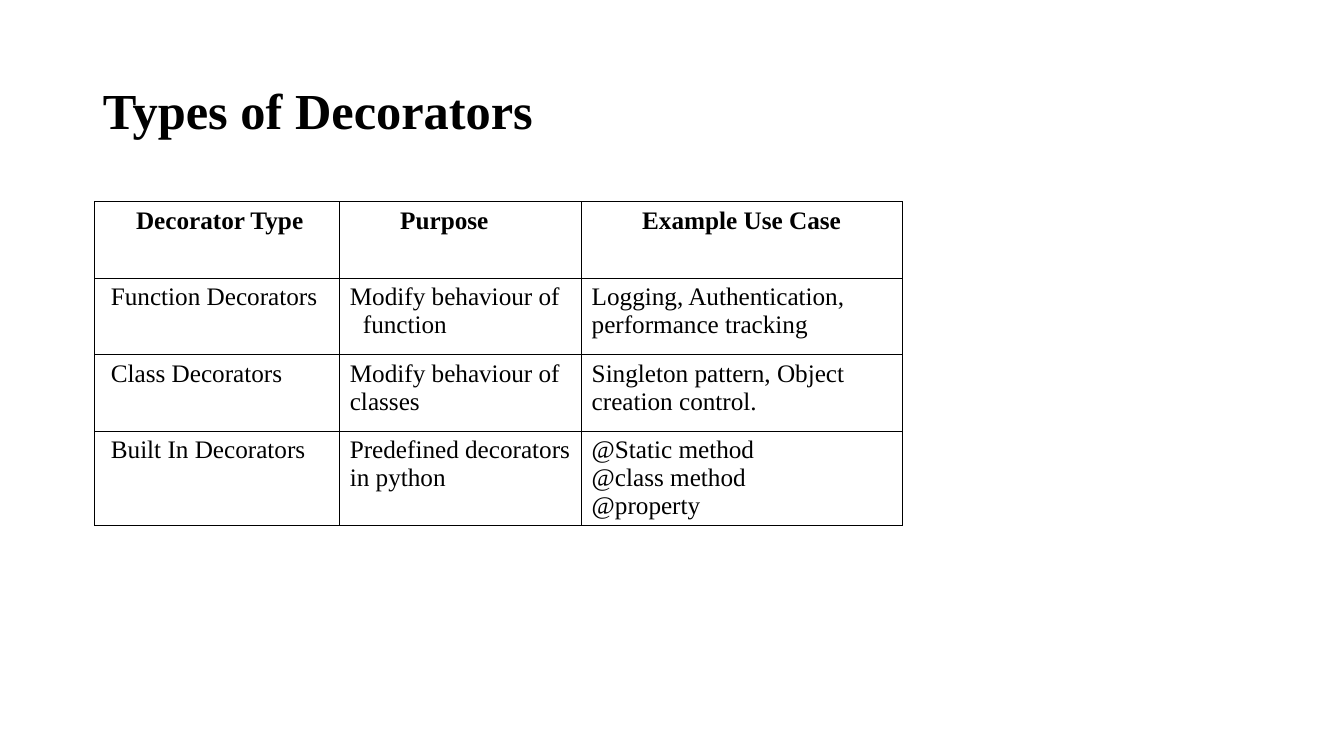
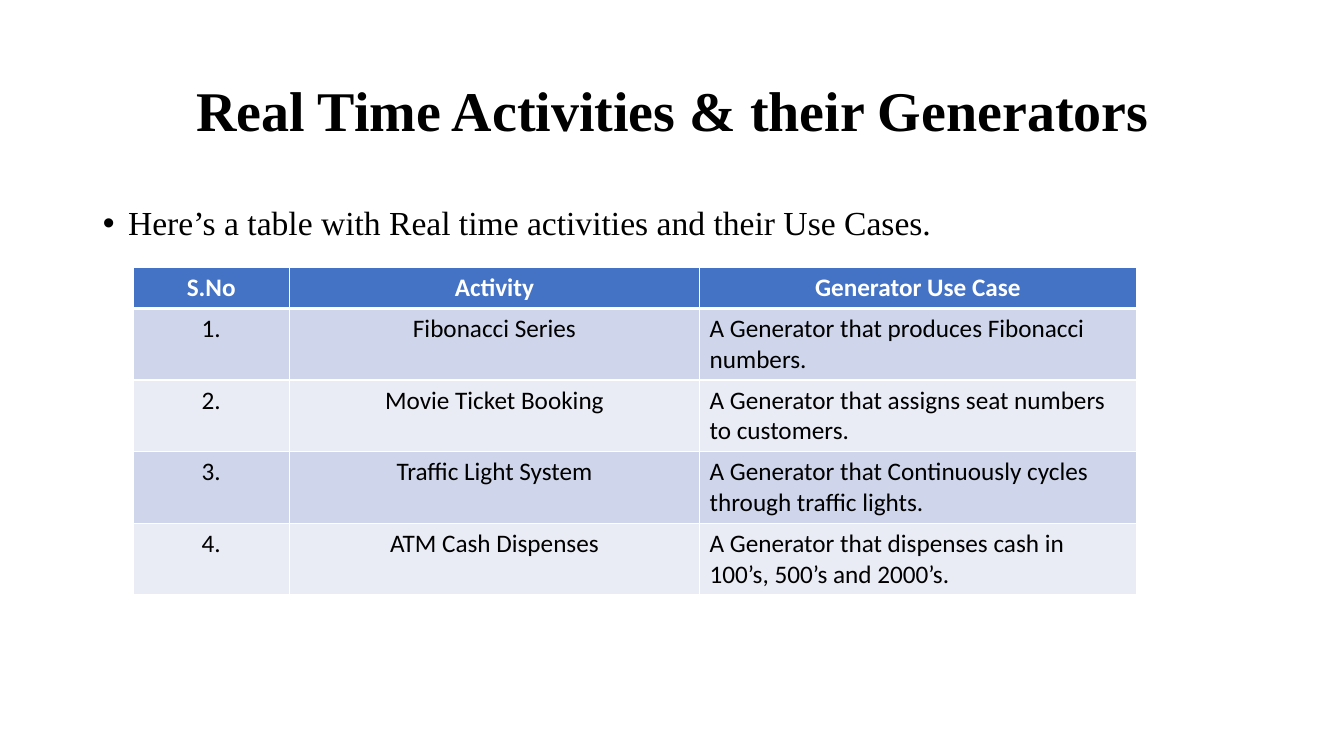
from dataclasses import dataclass

from lxml.etree import SubElement
from pptx import Presentation
from pptx.dml.color import RGBColor
from pptx.enum.text import MSO_ANCHOR as Anchor, MSO_AUTO_SIZE as AutoSize, PP_ALIGN as Align
from pptx.oxml.ns import qn
from pptx.util import Inches, Pt

SLIDE_WIDTH, SLIDE_HEIGHT = Inches(13.33), Inches(7.5)
BLACK = RGBColor(0x00, 0x00, 0x00)
WHITE = RGBColor(0xFF, 0xFF, 0xFF)
HEADER_BLUE = RGBColor(0x44, 0x72, 0xC4)
BAND_DARK = RGBColor(0xCF, 0xD5, 0xEA)
BAND_LIGHT = RGBColor(0xE9, 0xEB, 0xF5)
SERIF, SANS = "Times New Roman", "Calibri"
TITLE_ONLY, TITLE_AND_BODY = 5, 1
MARGIN, CONTENT_WIDTH = 6.9, 86.27
CONTENT_TOP = 26.67

DECORATORS = [
    ["Decorator Type", "Purpose", "Example Use Case"],
    ["Function Decorators", "Modify behaviour of function",
     "Logging, Authentication, performance tracking"],
    ["Class Decorators", "Modify behaviour of classes",
     "Singleton pattern, Object creation control."],
    ["Built In Decorators", "Predefined decorators in python",
     "@Static method\n@class method\n@property"],
]
GENERATORS = [
    ["S.No", "Activity", "Generator Use Case"],
    ["1.", "Fibonacci Series", "A Generator that produces Fibonacci numbers."],
    ["2.", "Movie Ticket Booking", "A Generator that assigns seat numbers to customers."],
    ["3.", "Traffic Light System", "A Generator that Continuously cycles through traffic lights."],
    ["4.", "ATM Cash Dispenses", "A Generator that dispenses cash in 100’s, 500’s and 2000’s."],
]


@dataclass
class TableLook:
    """Style of a table; one alignment and left margin per column."""
    font: str
    border: RGBColor
    header_color: RGBColor
    header_fill: RGBColor | None
    bands: tuple
    header_rule: float
    header_align: Align
    body_aligns: tuple
    header_margins: tuple
    body_margins: tuple


PLAIN = TableLook(SERIF, BLACK, BLACK, None, (None,), 1, Align.LEFT,
                  (Align.LEFT,) * 3, (0.41, 0.6, 0.6), (0.16, 0.1, 0.1))
BANDED = TableLook(SANS, WHITE, WHITE, HEADER_BLUE, (BAND_DARK, BAND_LIGHT), 3, Align.CENTER,
                   (Align.CENTER, Align.CENTER, Align.LEFT), (0.1,) * 3, (0.1,) * 3)


def across(percent):
    """Return a share of the slide width."""
    return round(SLIDE_WIDTH * percent / 100)


def down(percent):
    """Return a share of the slide height."""
    return round(SLIDE_HEIGHT * percent / 100)


def place(shape, top, height):
    """Set a placeholder on the content column."""
    shape.left, shape.width = across(MARGIN), across(CONTENT_WIDTH)
    shape.top, shape.height = down(top), down(height)


def style_font(paragraph, name, size, color, bold=False):
    """Format every run of a paragraph."""
    for run in paragraph.runs:
        font = run.font
        font.name, font.size, font.bold = name, Pt(size), bold
        font.color.rgb = color


def hang(paragraph, inches):
    """Give a paragraph a hanging indent."""
    properties = paragraph._p.get_or_add_pPr()
    properties.set("marL", str(Inches(inches)))
    properties.set("indent", str(-Inches(inches)))
    return properties


def add_slide(presentation, layout, title, size, align):
    """Add a slide with its formatted title."""
    slide = presentation.slides.add_slide(presentation.slide_layouts[layout])
    shape = slide.shapes.title
    place(shape, 5.33, 19.33)
    text_frame = shape.text_frame
    text_frame.text = title
    text_frame.auto_size = AutoSize.NONE
    text_frame.vertical_anchor = Anchor.MIDDLE
    paragraph = text_frame.paragraphs[0]
    paragraph.alignment, paragraph.line_spacing = align, 0.9
    style_font(paragraph, SERIF, size, BLACK, True)
    return slide


def fill_body(slide, text):
    """Write one bullet into the body placeholder."""
    shape = slide.placeholders[1]
    place(shape, CONTENT_TOP, 63.47)
    text_frame = shape.text_frame
    text_frame.text = text
    text_frame.auto_size = AutoSize.NONE
    paragraph = text_frame.paragraphs[0]
    properties = hang(paragraph, 0.25)
    SubElement(properties, qn("a:buFont"), typeface="Arial")
    SubElement(properties, qn("a:buChar"), char="•")
    paragraph.line_spacing, paragraph.space_before = 0.9, Pt(0)
    style_font(paragraph, SERIF, 24, BLACK)


def set_borders(cell, color, top, bottom):
    """Draw the four borders of a cell."""
    properties = cell._tc.get_or_add_tcPr()
    for side, width in (("L", 1), ("R", 1), ("T", top), ("B", bottom)):
        line = SubElement(properties, qn(f"a:ln{side}"), w=str(Pt(width)))
        fill = SubElement(line, qn("a:solidFill"))
        SubElement(fill, qn("a:srgbClr"), val=str(color))


def style_cell(cell, row, column, look):
    """Format a cell by its row and column."""
    header = row == 0
    set_borders(cell, look.border, look.header_rule if row == 1 else 1,
                look.header_rule if header else 1)
    color = look.header_fill if header else look.bands[(row - 1) % len(look.bands)]
    if color is None:
        cell.fill.background()
    else:
        cell.fill.solid()
        cell.fill.fore_color.rgb = color
    margins = look.header_margins if header else look.body_margins
    cell.margin_left = Inches(margins[column])
    for paragraph in cell.text_frame.paragraphs:
        paragraph.alignment = look.header_align if header else look.body_aligns[column]
        style_font(paragraph, look.font, 18, look.header_color if header else BLACK, header)


def add_table(slide, rows, left, top, widths, heights, look):
    """Add a table measured in percent of the slide."""
    table = slide.shapes.add_table(len(rows), len(widths), across(left), down(top),
                                   across(sum(widths)), down(sum(heights))).table
    table.first_row = table.horz_banding = False
    for column, width in zip(table.columns, widths):
        column.width = across(width)
    for row, height in zip(table.rows, heights):
        row.height = down(height)
    for row, texts in enumerate(rows):
        for column, text in enumerate(texts):
            cell = table.cell(row, column)
            cell.text_frame.text = text
            style_cell(cell, row, column, look)
    return table


def main():
    """Build and save the presentation."""
    presentation = Presentation()
    presentation.slide_width, presentation.slide_height = SLIDE_WIDTH, SLIDE_HEIGHT

    slide = add_slide(presentation, TITLE_ONLY, "Types of Decorators", 36, Align.LEFT)
    table = add_table(slide, DECORATORS, 7.05, CONTENT_TOP, (18.23, 18, 23.86),
                      [10.13] * 3 + [12.4], PLAIN)
    hang(table.cell(1, 1).text_frame.paragraphs[0], 0.13)

    slide = add_slide(presentation, TITLE_AND_BODY, "Real Time Activities & their Generators",
                      40, Align.CENTER)
    fill_body(slide, "Here’s a table with Real time activities and their Use Cases.")
    add_table(slide, GENERATORS, 9.9, 35.33, (11.63, 30.53, 32.48),
              [5.47] + [9.33] * 4, BANDED)

    presentation.save("out.pptx")


if __name__ == "__main__":
    main()
